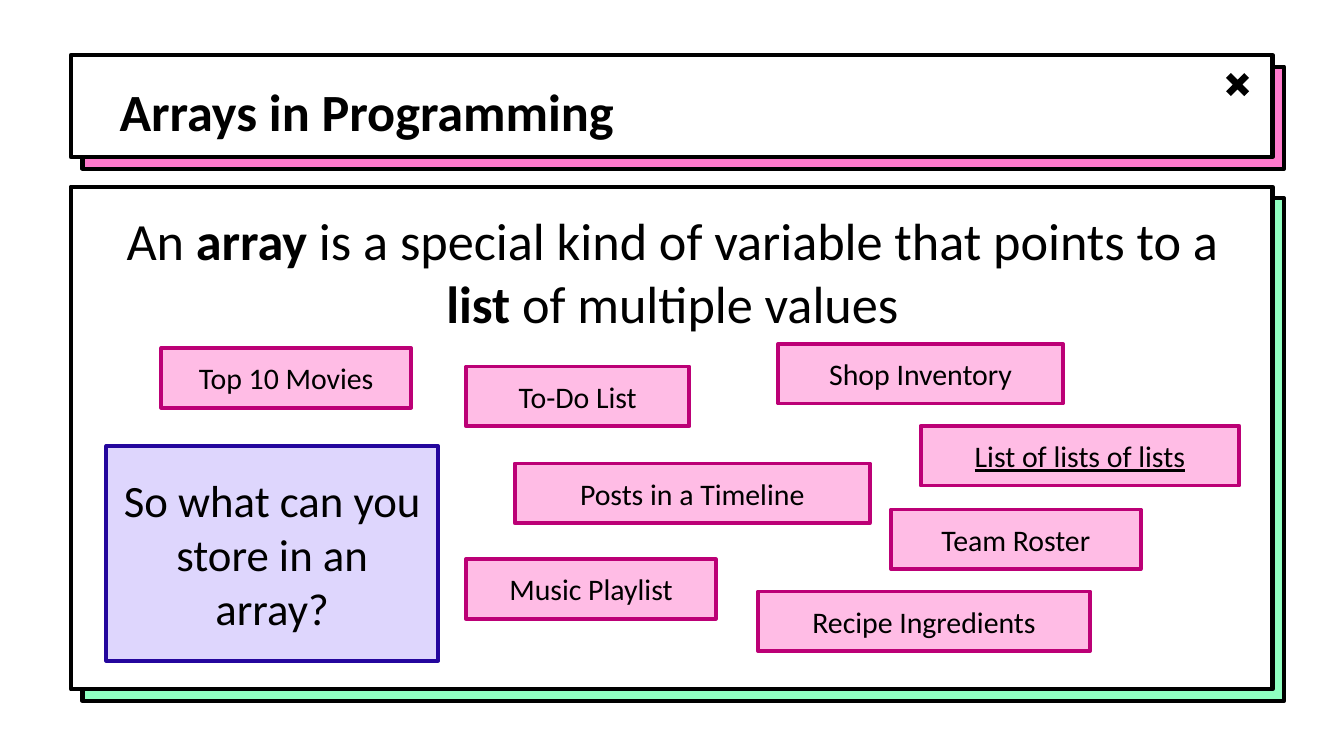
from dataclasses import dataclass

from lxml import etree
from pptx import Presentation
from pptx.dml.color import RGBColor
from pptx.enum.shapes import MSO_SHAPE
from pptx.enum.text import MSO_ANCHOR, PP_ALIGN
from pptx.oxml.ns import qn
from pptx.shapes.autoshape import Shape
from pptx.slide import Slide
from pptx.text.text import TextFrame
from pptx.util import Cm, Pt

RECTANGLE = MSO_SHAPE.RECTANGLE
CROSS = MSO_SHAPE.MATH_MULTIPLY
MIDDLE = MSO_ANCHOR.MIDDLE
TOP = MSO_ANCHOR.TOP
LEFT = PP_ALIGN.LEFT
CENTER = PP_ALIGN.CENTER

BLACK = RGBColor(0x00, 0x00, 0x00)
WHITE = RGBColor(0xFF, 0xFF, 0xFF)
PINK = RGBColor(0xFF, 0x7A, 0xCD)
MAGENTA = RGBColor(0xBC, 0x00, 0x76)
MINT = RGBColor(0x8F, 0xFF, 0xC1)
VIOLET = RGBColor(0x5D, 0x36, 0xF7)
INDIGO = RGBColor(0x24, 0x06, 0x9D)

FONT = "Calibri"
PANEL_LEFT = 1.34
PANEL_WIDTH = 22.71
PANEL_OFFSET = 0.22
TAG_HEIGHT = 1.13


@dataclass(frozen=True)
class Box:
    left: float
    top: float
    width: float
    height: float

    def lengths(self) -> tuple[Cm, Cm, Cm, Cm]:
        return Cm(self.left), Cm(self.top), Cm(self.width), Cm(self.height)


@dataclass(frozen=True)
class Panel:
    top: float
    height: float
    shade: RGBColor


@dataclass(frozen=True)
class Style:
    fill: RGBColor
    opacity: int
    line: RGBColor
    size: int


@dataclass(frozen=True)
class Tag:
    text: str
    left: float
    top: float
    width: float
    underlined: bool = False


@dataclass(frozen=True)
class Phrase:
    text: str
    bold: bool = False


TAG_STYLE = Style(PINK, 50, MAGENTA, 16)
QUESTION_STYLE = Style(VIOLET, 20, INDIGO, 24)

PANELS = [Panel(1.04, 1.93, PINK), Panel(3.53, 9.5, MINT)]

DEFINITION = [
    Phrase("An "),
    Phrase("array", True),
    Phrase(" is a special kind of variable that points to a "),
    Phrase("list", True),
    Phrase(" of multiple values"),
]

TAGS = [
    Tag("Top 10 Movies", 3.05, 6.58, 4.72),
    Tag("Music Playlist", 8.81, 10.57, 4.72),
    Tag("Posts in a Timeline", 9.73, 8.76, 6.71),
    Tag("To-Do List", 8.81, 6.93, 4.22),
    Tag("Recipe Ingredients", 14.33, 11.18, 6.27),
    Tag("Shop Inventory", 14.71, 6.5, 5.38),
    Tag("Team Roster", 16.84, 9.63, 4.72),
    Tag("List of lists of lists", 17.4, 8.05, 6.02, True),
]


def add_rectangle(slide: Slide, box: Box, fill: RGBColor, line: RGBColor, weight: float) -> Shape:
    shape = slide.shapes.add_shape(RECTANGLE, *box.lengths())
    shape.shadow.inherit = False
    shape.fill.solid()
    shape.fill.fore_color.rgb = fill
    shape.line.color.rgb = line
    shape.line.width = Pt(weight)
    return shape


def set_opacity(shape: Shape, percent: int) -> None:
    color = shape.fill._xPr.find(qn("a:solidFill")).find(qn("a:srgbClr"))
    etree.SubElement(color, qn("a:alpha"), val=str(percent * 1000))


def write(frame: TextFrame, phrases: list[Phrase], size: int, alignment: PP_ALIGN) -> None:
    frame.word_wrap = True
    paragraph = frame.paragraphs[0]
    paragraph.alignment = alignment
    paragraph.font.name = FONT
    paragraph.font.size = Pt(size)
    paragraph.font.color.rgb = BLACK
    for phrase in phrases:
        run = paragraph.add_run()
        run.text = phrase.text
        run.font.bold = phrase.bold


def add_panel(slide: Slide, panel: Panel) -> None:
    for offset, fill in ((PANEL_OFFSET, panel.shade), (0, WHITE)):
        box = Box(PANEL_LEFT + offset, panel.top + offset, PANEL_WIDTH, panel.height)
        add_rectangle(slide, box, fill, BLACK, 2.25)


def add_close_mark(slide: Slide, box: Box) -> None:
    shape = slide.shapes.add_shape(CROSS, *box.lengths())
    shape.shadow.inherit = False
    shape.adjustments[0] = 0.193
    shape.fill.solid()
    shape.fill.fore_color.rgb = BLACK
    shape.line.fill.background()


def add_text(slide: Slide, box: Box, phrases: list[Phrase], alignment: PP_ALIGN, inset: float) -> None:
    frame = slide.shapes.add_textbox(*box.lengths()).text_frame
    frame.vertical_anchor = TOP
    frame.margin_top = frame.margin_bottom = Cm(inset)
    write(frame, phrases, 28, alignment)


def add_card(slide: Slide, box: Box, text: str, style: Style, underlined: bool = False) -> None:
    shape = add_rectangle(slide, box, style.fill, style.line, 2)
    set_opacity(shape, style.opacity)
    frame = shape.text_frame
    frame.vertical_anchor = MIDDLE
    write(frame, [Phrase(text)], style.size, CENTER)
    frame.paragraphs[0].font.underline = underlined


def main() -> None:
    presentation = Presentation()
    presentation.slide_width = Cm(25.4)
    presentation.slide_height = Cm(14.29)
    slide = presentation.slides.add_slide(presentation.slide_layouts[6])

    for panel in PANELS:
        add_panel(slide, panel)
    add_close_mark(slide, Box(23.06, 1.27, 0.66, 0.66))

    title = [Phrase("Arrays in Programming", True)]
    add_text(slide, Box(2.01, 1.24, 21.41, 1.6), title, LEFT, 0.25)
    add_text(slide, Box(1.91, 3.81, 21.59, 2.06), DEFINITION, CENTER, 0.13)

    question = Box(2.01, 8.43, 6.27, 4.06)
    add_card(slide, question, "So what can you store in an array?", QUESTION_STYLE)
    for tag in TAGS:
        box = Box(tag.left, tag.top, tag.width, TAG_HEIGHT)
        add_card(slide, box, tag.text, TAG_STYLE, tag.underlined)

    presentation.save("out.pptx")


if __name__ == "__main__":
    main()
